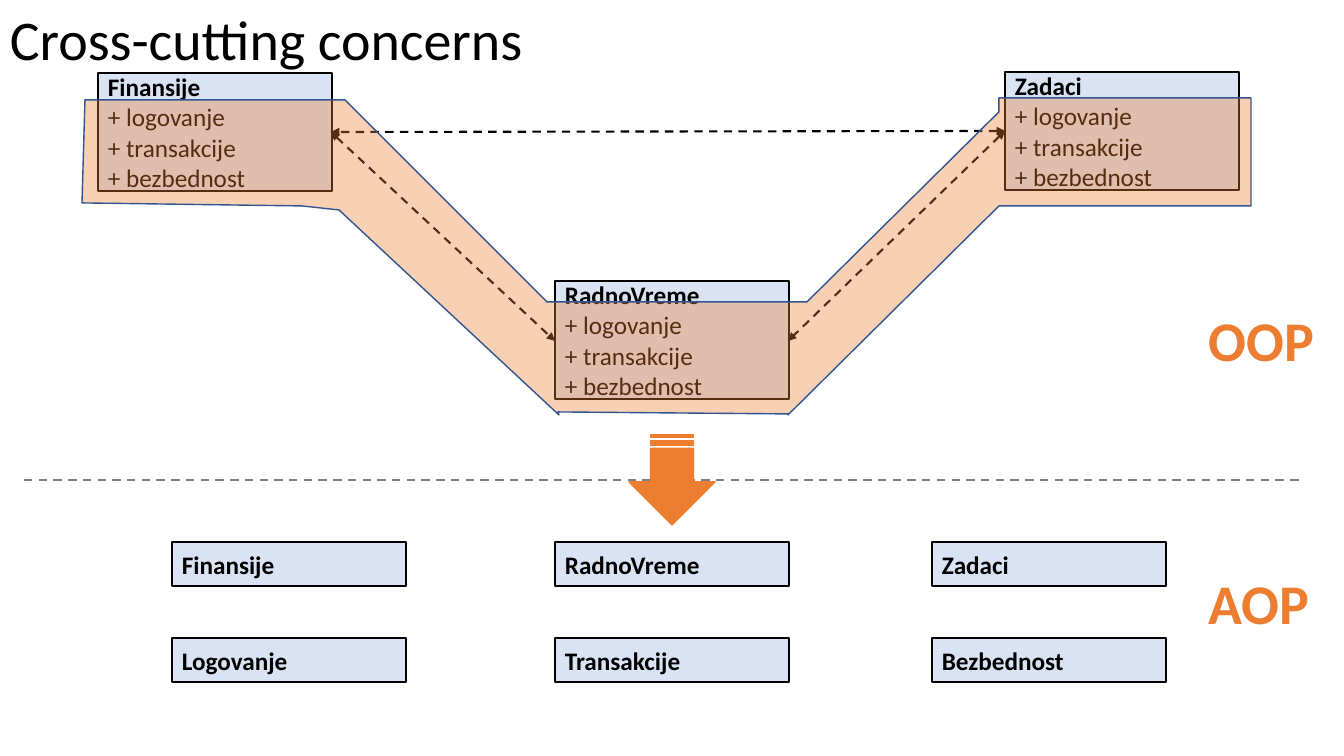
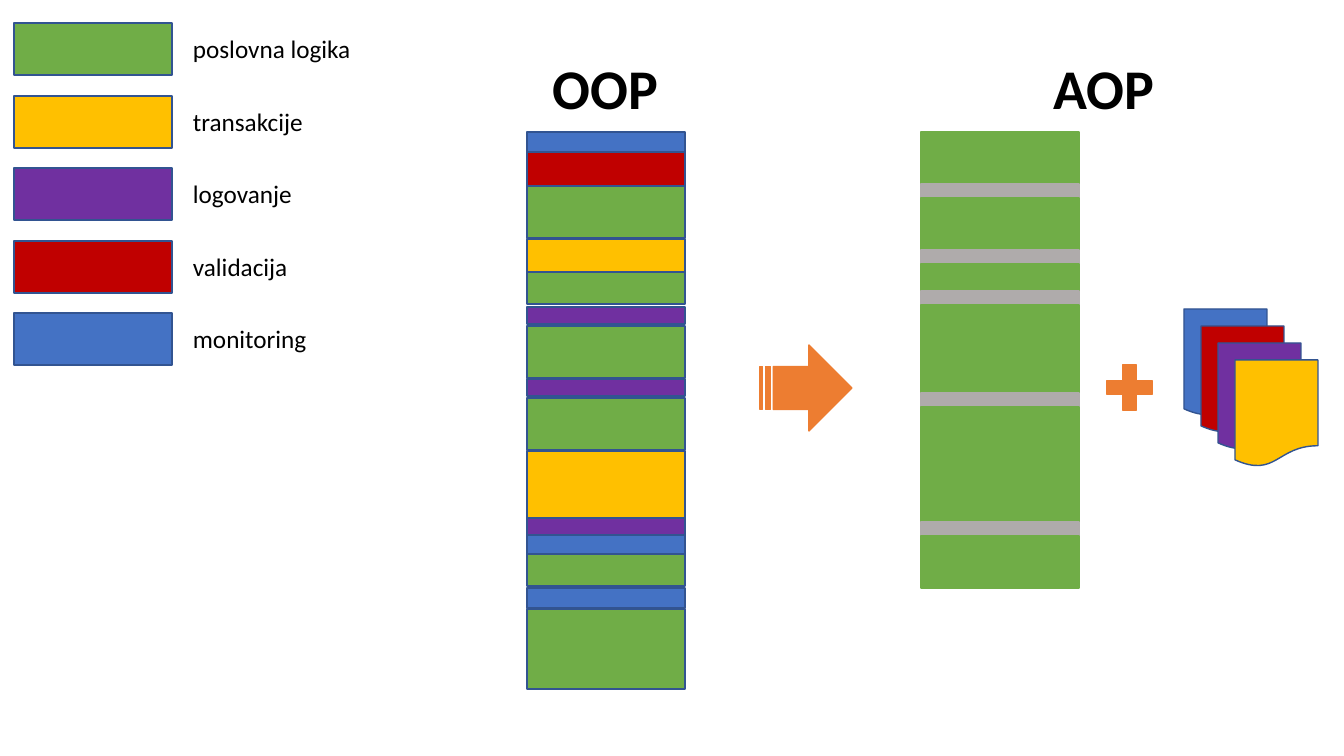
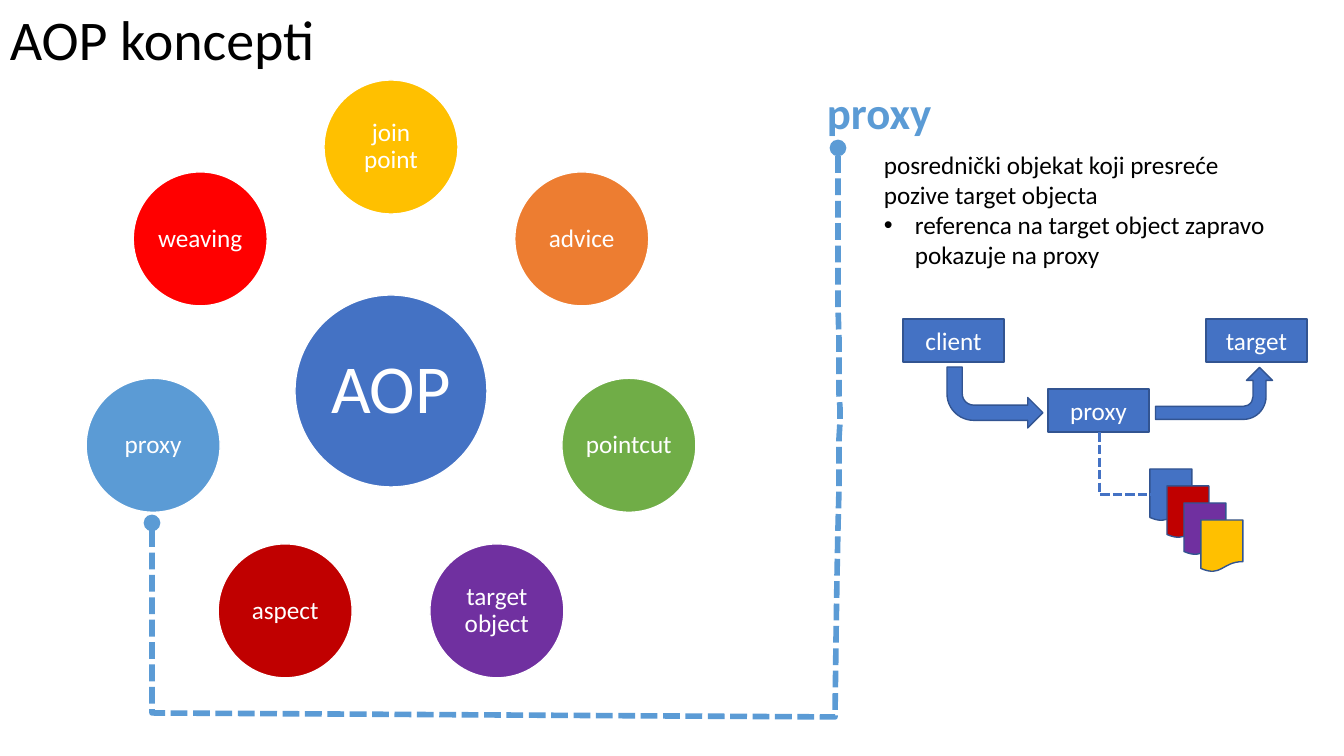
"""Build three slides that compare OOP and AOP."""
import dataclasses
import math
import lxml.etree
import pptx
import pptx.dml.color
import pptx.enum.dml
import pptx.enum.shapes
import pptx.enum.text
import pptx.oxml.ns
import pptx.util

KIND = pptx.enum.shapes.MSO_SHAPE
LINK = pptx.enum.shapes.MSO_CONNECTOR
DASH = pptx.enum.dml.MSO_LINE
ALIGN = pptx.enum.text.PP_ALIGN
MID = pptx.enum.text.MSO_ANCHOR.MIDDLE
GROW = pptx.enum.text.MSO_AUTO_SIZE.SHAPE_TO_FIT_TEXT
SCALE = 914400 / 100.8


@dataclasses.dataclass(frozen=True)
class Theme:
    font: str = "Calibri"
    title: int = 40
    head: int = 32
    body: int = 18
    hub: int = 49
    black: str = "000000"
    white: str = "FFFFFF"
    pale: str = "DAE3F3"
    orange: str = "ED7D31"
    edge: str = "325491"
    green: str = "70AD47"
    yellow: str = "FFC000"
    purple: str = "7030A0"
    wine: str = "C00000"
    blue: str = "4472C4"
    sky: str = "5B9BD5"
    red: str = "FF0000"
    gray: str = "808080"
    silver: str = "AFABAB"


def px(num):
    return pptx.util.Emu(round(num * SCALE))


def rgb(code):
    return pptx.dml.color.RGBColor.from_string(code)


def add(node, tag, **attrs):
    return lxml.etree.SubElement(node, pptx.oxml.ns.qn(tag), **attrs)


class Deck:
    def __init__(self):
        self.theme = Theme()
        self.show = pptx.Presentation()
        self.show.slide_width, self.show.slide_height = px(1344), px(756)
        self.slide = None

    def page(self, title=None):
        self.slide = self.show.slides.add_slide(self.show.slide_layouts[6])
        if title:
            self.text(0, 0, 540, 78, [title], self.theme.title)

    def style(self, para, size, color, bold=False, align=ALIGN.LEFT):
        para.alignment = align
        font = para.font
        font.name, font.size, font.bold = self.theme.font, pptx.util.Pt(size), bold
        font.color.rgb = rgb(color)

    def label(self, frame, lines, size, color, bold=False, align=ALIGN.LEFT):
        frame.text = "\n".join(lines)
        for para in frame.paragraphs:
            self.style(para, size, color, bold, align)

    def text(self, x, y, w, h, lines, size=None, color=None, bold=False, wrap=False):
        frame = self.slide.shapes.add_textbox(px(x), px(y), px(w), px(h)).text_frame
        frame.word_wrap, frame.auto_size = wrap, GROW
        self.label(frame, lines, size or self.theme.body, color or self.theme.black, bold)
        return frame

    def bullet(self, para, indent):
        props = para._p.get_or_add_pPr()
        props.set("marL", str(px(indent)))
        props.set("indent", str(px(-indent)))
        mark = add(props, "a:buChar", char="•")
        props.insert(0, mark)
        face = add(props, "a:buFont", typeface="Arial")
        props.insert(0, face)

    def shape(self, kind, x, y, w, h, fill, edge=None, width=1, turn=0, flip=False):
        item = self.slide.shapes.add_shape(kind, px(x), px(y), px(w), px(h))
        item.shadow.inherit = False
        item.fill.solid()
        item.fill.fore_color.rgb = rgb(fill)
        self.stroke(item.line, edge or self.theme.edge, width)
        item.rotation = turn
        if flip:
            item.element.spPr.find(pptx.oxml.ns.qn("a:xfrm")).set("flipV", "1")
        return item

    def stroke(self, line, color, width, dash=None, ends=None):
        line.color.rgb = rgb(color)
        line.width = pptx.util.Pt(width)
        if dash:
            line.dash_style = dash
        if ends:
            node = line._get_or_add_ln()
            add(node, "a:headEnd", type=ends)
            add(node, "a:tailEnd", type=ends)

    def rect(self, x, y, w, h, fill, edge=None):
        return self.shape(KIND.RECTANGLE, x, y, w, h, fill, edge)

    def card(self, x, y, h, name, *items):
        look = self.theme
        item = self.shape(KIND.RECTANGLE, x, y, 234, h, look.pale, look.black, 1.5)
        frame = item.text_frame
        frame.vertical_anchor = MID
        self.label(frame, [name, *items], look.body, look.black)
        frame.paragraphs[0].font.bold = True

    def node(self, x, y, name):
        item = self.rect(x, y, 101, 43, self.theme.blue)
        item.text_frame.vertical_anchor = MID
        self.label(item.text_frame, [name], self.theme.body, self.theme.white, align=ALIGN.CENTER)

    def disc(self, x, y, size, fill, name, type_size, inset):
        look = self.theme
        item = self.shape(KIND.OVAL, x - size / 2, y - size / 2, size, size, fill, look.white)
        frame = item.text_frame
        frame.vertical_anchor = MID
        frame.margin_left = frame.margin_right = px(inset)
        frame.margin_top = frame.margin_bottom = px(inset)
        self.label(frame, [name], type_size, look.white, align=ALIGN.CENTER)
        frame.paragraphs[0].line_spacing = 0.9

    def line(self, start, end, color, width, dash, ends=None, kind=LINK.STRAIGHT):
        item = self.slide.shapes.add_connector(kind, *map(px, start + end))
        self.stroke(item.line, color, width, dash, ends)
        add(item.element.spPr, "a:effectLst")
        return item

    def elbow(self, start, end, color, width, dash):
        item = self.line(start, end, color, width, dash, kind=LINK.ELBOW)
        props = item.element.spPr
        props.find(pptx.oxml.ns.qn("a:prstGeom")).set("prst", "bentConnector2")
        frame = props.find(pptx.oxml.ns.qn("a:xfrm"))
        frame.set("rot", "16200000")
        frame.set("flipH", "1")

    def outline(self, points, color, width, fill=None, alpha=100, dash=None, ends=None):
        pen = self.slide.shapes.build_freeform(*points[0], scale=SCALE)
        pen.add_line_segments(points[1:], close=bool(fill))
        item = pen.convert_to_shape()
        item.shadow.inherit = False
        if fill:
            item.fill.solid()
            item.fill.fore_color.rgb = rgb(fill)
            tint = next(item.element.spPr.iter(pptx.oxml.ns.qn("a:srgbClr")))
            add(tint, "a:alpha", val=str(alpha * 1000))
        else:
            item.fill.background()
        self.stroke(item.line, color, width, dash, ends)

    def arrow(self, x, y, w, h, turn=0):
        hue = self.theme.orange
        self.shape(KIND.STRIPED_RIGHT_ARROW, x, y, w, h, hue, hue, turn=turn)

    def docs(self, x, y, w, h):
        look = self.theme
        for i, fill in enumerate((look.blue, look.wine, look.purple, look.yellow)):
            self.shape(KIND.FLOWCHART_DOCUMENT, x + 17 * i, y + 17 * i, w, h, fill)


def curve(a, b, c, d, count=16):
    for i in range(1, count + 1):
        t = i / count
        s = 1 - t
        yield tuple(
            s**3 * p + 3 * s * s * t * q + 3 * s * t * t * r + t**3 * e
            for p, q, r, e in zip(a, b, c, d)
        )


def concerns(deck):
    look = deck.theme
    deck.page("Cross-cutting concerns")
    deck.line((24, 480), (1303, 480), look.gray, 1.5, DASH.DASH)
    duties = ("+ logovanje", "+ transakcije", "+ bezbednost")
    for x, y, name in ((98, 73, "Finansije"), (1005, 72, "Zadaci"), (555, 281, "RadnoVreme")):
        deck.card(x, y, 118, name, *duties)
    left, right = (331, 132), (1005, 131)
    for start, end in ((left, (555, 341)), (right, (788, 341)), (right, left)):
        deck.line(start, end, look.black, 1.5, DASH.DASH, "triangle")
    band = [
        (85, 100), (345, 100), (547, 302), (807, 302), (999, 112), (999, 98),
        (1251, 98), (1251, 206), (999, 206), (788, 415), (788, 414), (558, 412),
        (559, 415), (339, 210), (302, 206), (82, 203),
    ]
    deck.outline(band, look.edge, 1, look.orange, 36)
    deck.arrow(627, 437, 90, 86, 90)
    rows = (
        (542, ("Finansije", "RadnoVreme", "Zadaci")),
        (638, ("Logovanje", "Transakcije", "Bezbednost")),
    )
    for y, names in rows:
        for x, name in zip((172, 555, 932), names):
            deck.card(x, y, 44, name)
    for y, w, name in ((301, 127, "OOP"), (564, 122, "AOP")):
        deck.text(1199, y, w, 78, [name], look.title, look.orange, True)


def layers(deck):
    look = deck.theme
    deck.page()
    legend = (
        (look.green, 179, "poslovna logika"),
        (look.yellow, 131, "transakcije"),
        (look.purple, 120, "logovanje"),
        (look.wine, 116, "validacija"),
        (look.blue, 135, "monitoring"),
    )
    for i, (fill, w, name) in enumerate(legend):
        y = round(23 + 72.6 * i)
        deck.rect(14, y, 158, 52, fill)
        deck.text(183, y + 5, w, 40, [name])
    mixed = (
        (132, 20, look.blue), (152, 34, look.wine), (186, 52, look.green),
        (239, 34, look.yellow), (272, 32, look.green), (307, 17, look.purple),
        (326, 52, look.green), (379, 17, look.purple), (398, 52, look.green),
        (451, 68, look.yellow), (518, 17, look.purple), (535, 20, look.blue),
        (554, 32, look.green), (588, 20, look.blue), (609, 80, look.green),
    )
    for y, h, fill in mixed:
        deck.rect(527, y, 158, h, fill)
    y = 132
    for i, h in enumerate((52, 14, 52, 14, 27, 14, 88, 14, 115, 14, 52)):
        fill = look.silver if i % 2 else look.green
        deck.rect(921, y, 158, h, fill, fill)
        y += h
    for x, w, name in ((543, 127, "OOP"), (1044, 122, "AOP")):
        deck.text(x, 49, w, 78, [name], look.title, bold=True)
    deck.arrow(760, 345, 92, 86)
    deck.shape(KIND.MATH_PLUS, 1099, 357, 61, 61, look.orange, look.orange)
    deck.docs(1184, 309, 83, 107)


def ideas(deck):
    look = deck.theme
    deck.page("AOP koncepti")
    mid = 391
    deck.disc(mid, mid, 192, look.blue, "AOP", look.hub, 7)
    ring = (
        (look.yellow, "join point"), (look.orange, "advice"), (look.green, "pointcut"),
        (look.purple, "target object"), (look.wine, "aspect"), (look.sky, "proxy"),
        (look.red, "weaving"),
    )
    for i, (fill, name) in enumerate(ring):
        turn = math.tau * i / len(ring)
        x, y = mid + 244 * math.sin(turn), mid - 244 * math.cos(turn)
        deck.disc(x, y, 134, fill, name, look.body, 3)
    deck.text(817, 80, 126, 65, ["proxy"], look.head, look.sky, True)
    notes = [
        "posrednički objekat koji presreće pozive target objecta",
        "referenca na target object zapravo pokazuje na proxy",
    ]
    frame = deck.text(874, 144, 409, 132, notes, wrap=True)
    deck.bullet(frame.paragraphs[1], 31)
    turn = (835, 717)
    trail = [(152, 523), (152, 713), turn]
    trail += curve(turn, (843, 260), (838, 539), (838, 148))
    deck.outline(trail, look.sky, 4, dash=DASH.SQUARE_DOT, ends="oval")
    for x, y, name in ((903, 319, "client"), (1206, 319, "target"), (1048, 389, "proxy")):
        deck.node(x, y, name)
    deck.shape(KIND.BENT_ARROW, 947, 367, 96, 61, look.blue, flip=True)
    deck.shape(KIND.BENT_ARROW, 1188, 335, 52, 117, look.blue, turn=270, flip=True)
    deck.docs(1150, 469, 42, 52)
    deck.elbow((1094, 438), (1156, 489), look.blue, 2.25, DASH.SQUARE_DOT)


deck = Deck()
for build in (concerns, layers, ideas):
    build(deck)
deck.show.save("out.pptx")
